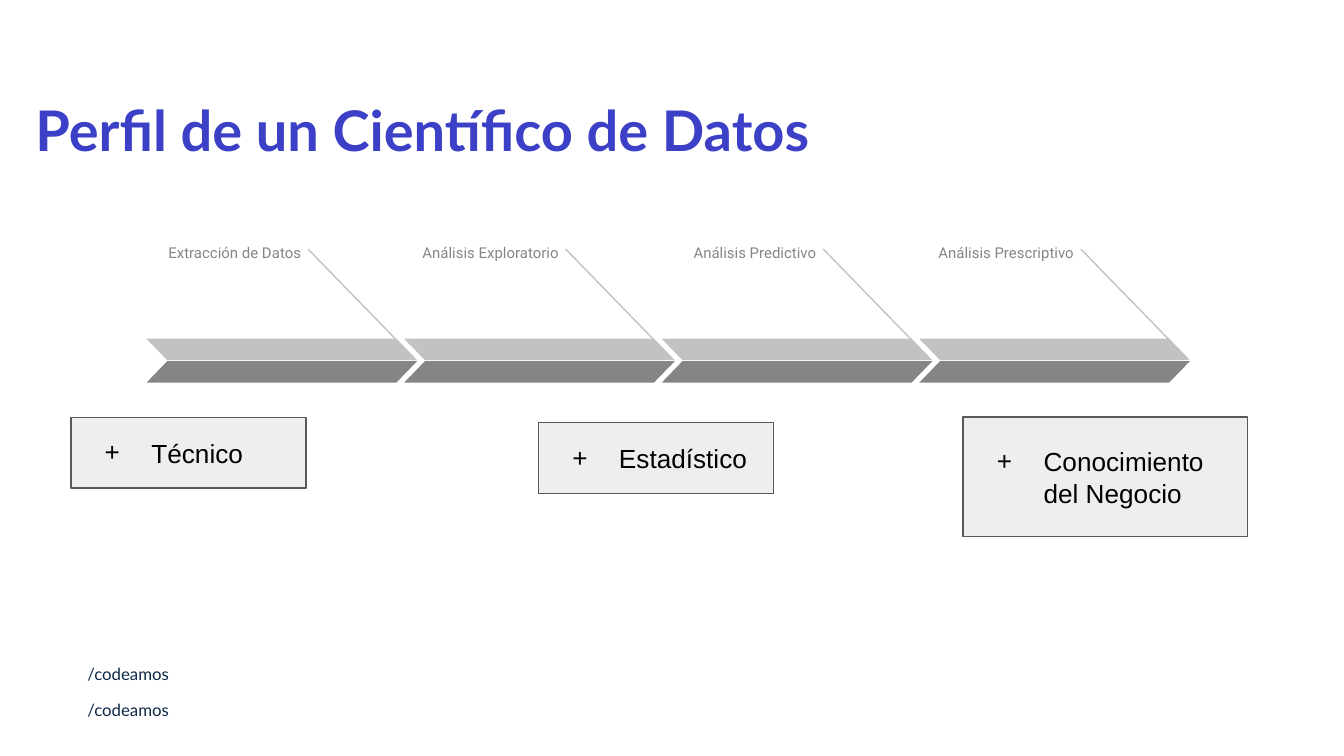
from lxml import etree
from pptx import Presentation
from pptx.dml.color import RGBColor
from pptx.enum.shapes import MSO_CONNECTOR, MSO_SHAPE
from pptx.enum.text import MSO_ANCHOR, PP_ALIGN
from pptx.oxml.ns import qn
from pptx.util import Pt

COLORS = {
    "title": "3C40C6",
    "footer": "0E2A47",
    "light": "C2C2C2",
    "dark": "858585",
    "box": "EEEEEE",
    "border": "595959",
    "black": "000000",
}
STAGES = ["Extracción de Datos", "Análisis Exploratorio",
          "Análisis Predictivo", "Análisis Prescriptivo"]
SKILLS = [
    ("Técnico", 38, 223.5, 126, 38),
    ("Estadístico", 288.5, 226.5, 126, 38),
    ("Conocimiento del Negocio", 516, 223.5, 152.5, 64),
]
STAGE_LEFT, STAGE_PITCH = 78.5, 138


def rgb(name):
    return RGBColor.from_string(COLORS[name])


def write(p, text, font="Arial", size=14, color="black", bold=False,
          align=PP_ALIGN.LEFT, spacing=1.0, before=0, after=0):
    p.alignment = align
    p.line_spacing = spacing
    p.space_before, p.space_after = Pt(before), Pt(after)
    r = p.add_run()
    r.text = text
    r.font.name, r.font.size, r.font.bold = font, Pt(size), bold
    r.font.color.rgb = rgb(color)


class Deck:
    inset = 7.2
    line_width = 0.75

    def __init__(self, prs):
        self.slide = prs.slides.add_slide(prs.slide_layouts[5])
        self.shapes = self.slide.shapes

    def frame(self, sp, anchor=MSO_ANCHOR.TOP):
        tf = sp.text_frame
        tf.word_wrap = True
        tf.vertical_anchor = anchor
        tf.margin_left = tf.margin_right = Pt(self.inset)
        tf.margin_top = tf.margin_bottom = Pt(self.inset)
        return tf

    def title(self, text, x, y, w, h):
        sp = self.shapes.title
        sp.left, sp.top, sp.width, sp.height = Pt(x), Pt(y), Pt(w), Pt(h)
        tf = self.frame(sp, MSO_ANCHOR.BOTTOM)
        write(tf.paragraphs[0], text, font="Lato", size=30, color="title", bold=True)

    def text(self, lines, x, y, w, h, gap=0, **style):
        tf = self.frame(self.shapes.add_textbox(Pt(x), Pt(y), Pt(w), Pt(h)))
        for i, line in enumerate(lines):
            p = tf.add_paragraph() if i else tf.paragraphs[0]
            write(p, line, spacing=1.15, before=gap if i else 0, **style)

    def shape(self, kind, x, y, w, h, fill, border=None):
        sp = self.shapes.add_shape(kind, Pt(x), Pt(y), Pt(w), Pt(h))
        sp.shadow.inherit = False
        sp.fill.solid()
        sp.fill.fore_color.rgb = rgb(fill)
        if border:
            sp.line.color.rgb = rgb(border)
            sp.line.width = Pt(self.line_width)
        else:
            sp.line.fill.background()
        return sp

    def band(self, x, y, fill, flip=False):
        sp = self.shape(MSO_SHAPE.PARALLELOGRAM, x, y, 145, 11.5, fill)
        sp.adjustments[0] = 0.97
        if flip:
            sp.element.spPr.find(qn("a:xfrm")).set("flipH", "1")

    def line(self, x1, y1, x2, y2, color):
        cx = self.shapes.add_connector(MSO_CONNECTOR.STRAIGHT,
                                       Pt(x1), Pt(y1), Pt(x2), Pt(y2))
        cx.line.color.rgb = rgb(color)
        cx.line.width = Pt(self.line_width)
        etree.SubElement(cx.element.spPr, qn("a:effectLst"))

    def stage(self, text, x):
        self.text([text], x - 11.5, 123.8, 101.5, 18.7, font="Roboto", size=8,
                  color="dark", align=PP_ALIGN.RIGHT, after=16)
        self.line(x + 86.5, 133.4, x + 143, 191.5, "light")
        self.band(x, 181.5, "light", flip=True)
        self.band(x, 193.5, "dark")

    def skill(self, text, x, y, w, h):
        sp = self.shape(MSO_SHAPE.RECTANGLE, x, y, w, h, "box", "border")
        p = self.frame(sp, MSO_ANCHOR.MIDDLE).paragraphs[0]
        pPr = p._p.get_or_add_pPr()
        pPr.set("marL", str(Pt(36)))
        pPr.set("indent", str(Pt(-25)))
        clr = etree.SubElement(pPr, qn("a:buClr"))
        etree.SubElement(clr, qn("a:srgbClr"), val=COLORS["black"])
        etree.SubElement(pPr, qn("a:buFont"), typeface="Arial")
        etree.SubElement(pPr, qn("a:buChar"), char="+")
        write(p, text)


def main():
    prs = Presentation()
    prs.slide_width, prs.slide_height = Pt(720), Pt(405)
    deck = Deck(prs)
    deck.text(["/codeamos", "/codeamos"], 39.8, 346.5, 64, 36, gap=6.9,
              font="Lato", size=9, color="footer")
    for i, text in enumerate(STAGES):
        deck.stage(text, STAGE_LEFT + i * STAGE_PITCH)
    for skill in SKILLS:
        deck.skill(*skill)
    deck.title("Perfil de un Científico de Datos", 11.8, 23, 567, 71.3)
    prs.save("out.pptx")


if __name__ == "__main__":
    main()
